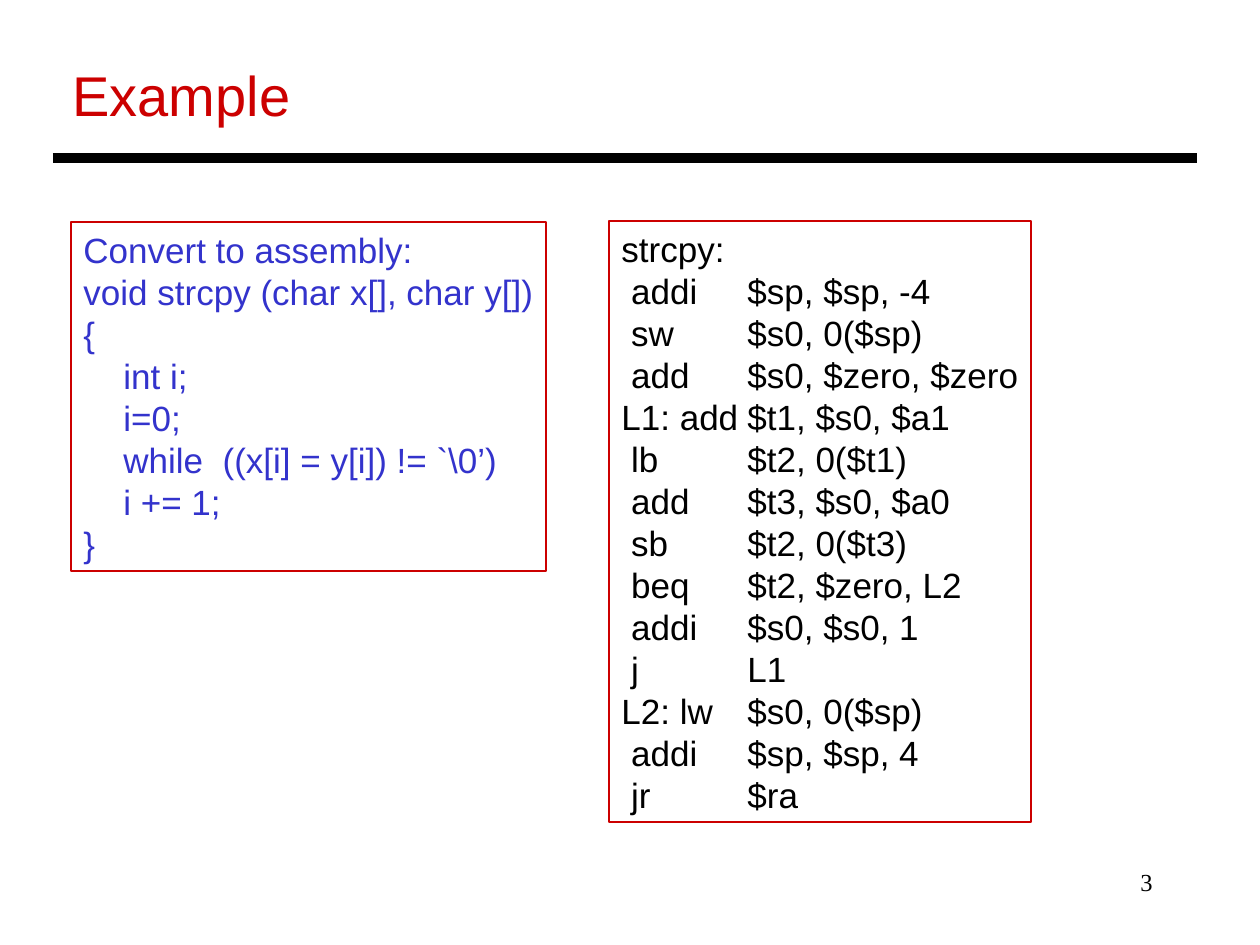
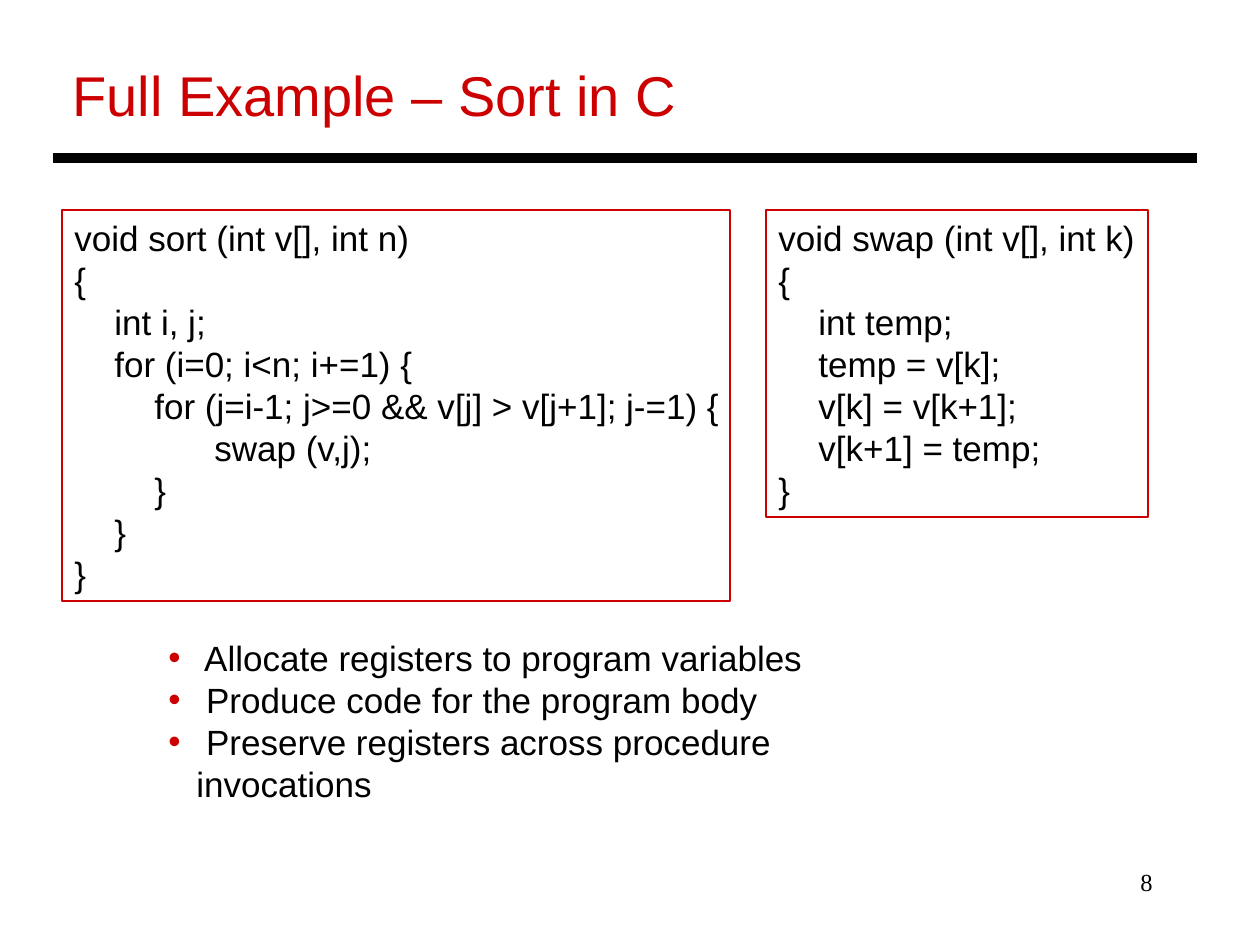
from lxml import etree
from pptx import Presentation
from pptx.dml.color import RGBColor
from pptx.enum.shapes import MSO_CONNECTOR, MSO_SHAPE
from pptx.enum.text import MSO_ANCHOR, PP_ALIGN
from pptx.oxml.ns import qn
from pptx.util import Emu, Pt

LINE = MSO_CONNECTOR.STRAIGHT
RECTANGLE = MSO_SHAPE.RECTANGLE
TOP = MSO_ANCHOR.TOP
LEFT, RIGHT = PP_ALIGN.LEFT, PP_ALIGN.RIGHT

RED = RGBColor(0xCC, 0x00, 0x00)
BLUE = RGBColor(0x33, 0x33, 0xCC)
BLACK = RGBColor(0x00, 0x00, 0x00)

SANS, SERIF = "Arial", "Times New Roman"
TITLE_SIZE, BODY_SIZE, NUMBER_SIZE = 32, 20, 14

PX_PER_INCH = 126
SPACE_WIDTH = 10     # one space of body text
OPERAND_TAB = 126    # column of the assembly operands
BULLET_INDENT = 28

STRCPY_C = r"""Convert to assembly:
void strcpy (char x[], char y[])
{
    int i;
    i=0;
    while  ((x[i] = y[i]) != `\0’)
    i += 1;
}"""

STRCPY_ASSEMBLY = [
    ("strcpy:", ""),
    (" addi", "$sp, $sp, -4"),
    (" sw", "$s0, 0($sp)"),
    (" add", "$s0, $zero, $zero"),
    ("L1: add", "$t1, $s0, $a1"),
    (" lb", "$t2, 0($t1)"),
    (" add", "$t3, $s0, $a0"),
    (" sb", "$t2, 0($t3)"),
    (" beq", "$t2, $zero, L2"),
    (" addi", "$s0, $s0, 1"),
    (" j", "L1"),
    ("L2: lw", "$s0, 0($sp)"),
    (" addi", "$sp, $sp, 4"),
    (" jr", "$ra"),
]

SORT_C = """void sort (int v[], int n)
{
    int i, j;
    for (i=0; i<n; i+=1) {
        for (j=i-1; j>=0 && v[j] > v[j+1]; j-=1) {
              swap (v,j);
        }
    }
}"""

SWAP_C = """void swap (int v[], int k)
{
    int temp;
    temp = v[k];
    v[k] = v[k+1];
    v[k+1] = temp;
}"""

STEPS = [
    " Allocate registers to program variables",
    " Produce code for the program body",
    " Preserve registers across procedure invocations",
]


def px(length):
    return Emu(round(length * 914400 / PX_PER_INCH))


def add_xml(parent, tag, **attributes):
    return etree.SubElement(parent, qn(tag), attributes)


class Deck:
    def __init__(self):
        self.presentation = Presentation()
        self.presentation.slide_width = px(1260)
        self.presentation.slide_height = px(945)
        self.slide = None

    def add_slide(self, title, title_width, number):
        layout = self.presentation.slide_layouts[6]
        self.slide = self.presentation.slides.add_slide(layout)
        self.text((903, 861, 262, 63), [str(number)], NUMBER_SIZE, BLACK,
                  SERIF, RIGHT)
        self.text((60, 54, title_width, 81), [title], TITLE_SIZE, RED)
        self.rule(53, 1197, 158)

    def rule(self, left, right, y):
        connector = self.slide.shapes.add_connector(
            LINE, px(left), px(y), px(right), px(y))
        connector.line.color.rgb = BLACK
        connector.line.width = Pt(6)
        add_xml(connector._element.spPr, "a:effectLst")

    def fill_text(self, shape, lines, size, color, font=SANS, alignment=LEFT,
                  wrap=False):
        text_frame = shape.text_frame
        text_frame.word_wrap = wrap
        text_frame.vertical_anchor = TOP
        text_frame.text = "\n".join(lines)
        for paragraph in text_frame.paragraphs:
            paragraph.alignment = alignment
            for run in paragraph.runs:
                run.font.name = font
                run.font.size = Pt(size)
                run.font.color.rgb = color
        return text_frame.paragraphs

    def text(self, box, lines, size, color, font=SANS, alignment=LEFT,
             wrap=False):
        shape = self.slide.shapes.add_textbox(*map(px, box))
        return self.fill_text(shape, lines, size, color, font, alignment, wrap)

    def frame(self, box, lines, color):
        shape = self.slide.shapes.add_shape(RECTANGLE, *map(px, box))
        shape.shadow.inherit = False
        shape.fill.background()
        shape.line.color.rgb = RED
        shape.line.width = Pt(0.75)
        return self.fill_text(shape, lines, BODY_SIZE, color)

    def code(self, box, source, color=BLACK):
        """Turn the leading spaces of each line into a left indent."""
        lines = source.splitlines()
        stripped = [line.lstrip() for line in lines]
        paragraphs = self.frame(box, stripped, color)
        for paragraph, line, content in zip(paragraphs, lines, stripped):
            indent = px((len(line) - len(content)) * SPACE_WIDTH)
            paragraph._p.get_or_add_pPr().set("marL", str(indent))

    def assembly(self, box, instructions):
        """Line up the operands at one tab stop."""
        lines = ["\t".join(filter(None, pair)) for pair in instructions]
        for paragraph in self.frame(box, lines, BLACK):
            tabs = add_xml(paragraph._p.get_or_add_pPr(), "a:tabLst")
            add_xml(tabs, "a:tab", pos=str(px(OPERAND_TAB)), algn="l")

    def bullets(self, box, items):
        for paragraph in self.text(box, items, BODY_SIZE, BLACK, wrap=True):
            properties = paragraph._p.get_or_add_pPr()
            properties.set("marL", str(px(BULLET_INDENT)))
            properties.set("indent", str(-px(BULLET_INDENT)))
            bullet_color = add_xml(properties, "a:buClr")
            add_xml(bullet_color, "a:srgbClr", val=str(RED))
            add_xml(properties, "a:buFont", typeface=SANS)
            add_xml(properties, "a:buChar", char="•")


def main():
    deck = Deck()

    # String copy in C and in assembly
    deck.add_slide("Example", 243, 3)
    deck.code((71, 222, 475, 349), STRCPY_C, BLUE)
    deck.assembly((609, 221, 422, 601), STRCPY_ASSEMBLY)

    # Sort and swap in C, with the steps to translate them
    deck.add_slide("Full Example – Sort in C", 630, 8)
    deck.bullets((156, 630, 798, 139), STEPS)
    deck.code((62, 210, 668, 391), SORT_C)
    deck.code((766, 210, 382, 307), SWAP_C)

    deck.presentation.save("out.pptx")


if __name__ == "__main__":
    main()
